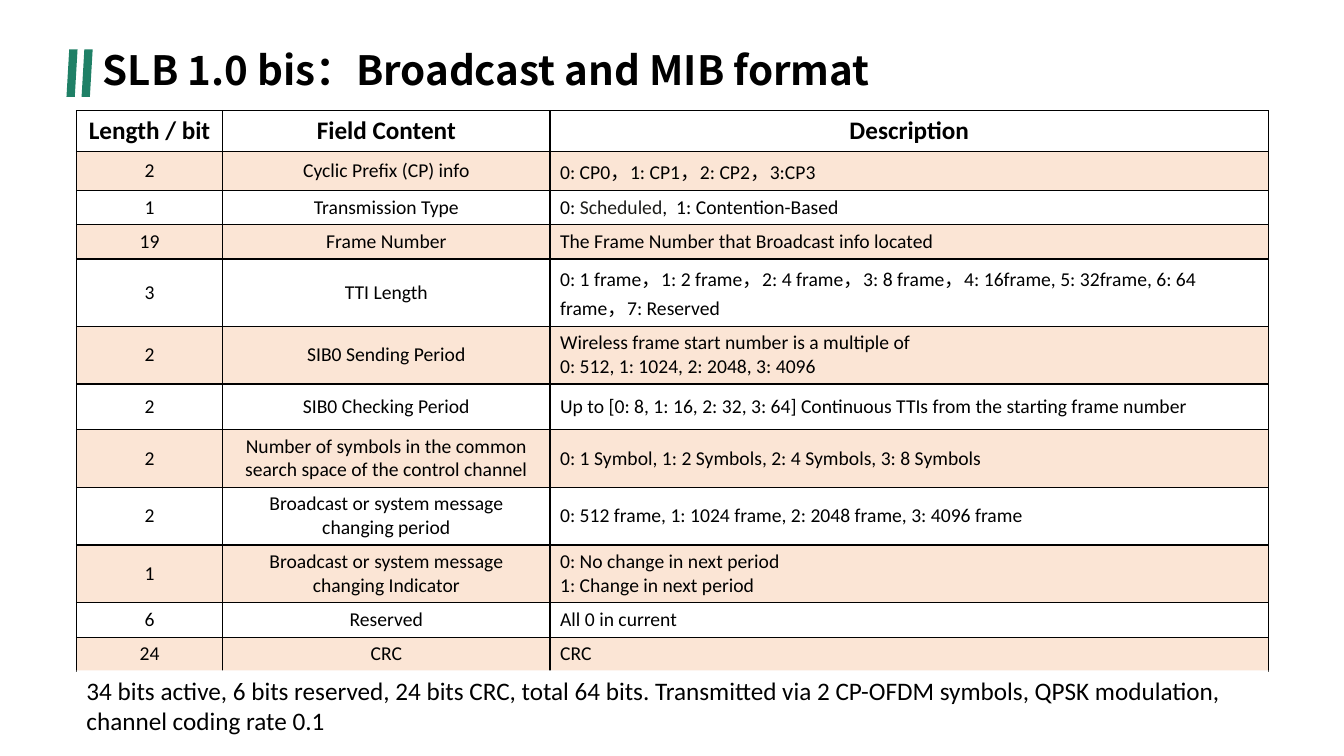
"""Builds the slide on the SLB 1.0 bis broadcast and MIB format."""
from dataclasses import dataclass
from itertools import product

from lxml import etree
from pptx import Presentation
from pptx import util as u
from pptx.dml import color
from pptx.enum import shapes, text
from pptx.oxml import ns

COLUMNS, ROWS = 1334, 750
UNIT = u.Inches(0.01)
BLACK, WHITE, GREEN, ORANGE, INK = "000000", "FFFFFF", "1F8066", "ED7D31", "1D1D1A"
LATIN, CJK = "Calibri", "Noto Sans CJK SC"
LEFT, CENTER = text.PP_ALIGN.LEFT, text.PP_ALIGN.CENTER
TOP, MIDDLE = text.MSO_ANCHOR.TOP, text.MSO_ANCHOR.MIDDLE
TITLE_FONT = {"size": u.Pt(28.8), "bold": True, "name": CJK}
HEADER_FONT = {"size": u.Pt(18), "bold": True, "name": LATIN}
FIELD_FONT = {"size": u.Pt(14), "bold": False, "name": LATIN}
NOTE_FONT = {"size": u.Pt(18), "bold": False, "name": LATIN}


@dataclass(frozen=True)
class Area:
    """A rectangle in grid columns and rows."""
    column: int
    row: int
    columns: int
    rows: int

    def box(self) -> tuple[int, int, int, int]:
        """Return left, top, width and height as lengths."""
        return (self.column * UNIT, self.row * UNIT,
                self.columns * UNIT, self.rows * UNIT)


@dataclass(frozen=True)
class Field:
    """One row of the MIB table."""
    bits: str
    content: str
    description: str
    rows: int = 34
    accent: str = ""


HEADER = Field("Length / bit", "Field Content", "Description", 40)
FIELDS = [
    Field("2", "Cyclic Prefix (CP) info", "0: CP0，1: CP1，2: CP2，3:CP3"),
    Field("1", "Transmission Type", "0: Scheduled,  1: Contention-Based", accent="Scheduled"),
    Field("19", "Frame Number", "The Frame Number that Broadcast info located"),
    Field("3", "TTI Length", "0: 1 frame，1: 2 frame，2: 4 frame，3: 8 frame，"
          "4: 16frame, 5: 32frame, 6: 64 frame，7: Reserved", 57),
    Field("2", "SIB0 Sending Period", "Wireless frame start number is a multiple of\n"
          "0: 512, 1: 1024, 2: 2048, 3: 4096", 57),
    Field("2", "SIB0 Checking Period", "Up to [0: 8, 1: 16, 2: 32, 3: 64] "
          "Continuous TTIs from the starting frame number", 45),
    Field("2", "Number of symbols in the common search space of the control channel",
          "0: 1 Symbol, 1: 2 Symbols, 2: 4 Symbols, 3: 8 Symbols", 54),
    Field("2", "Broadcast or system message changing period",
          "0: 512 frame, 1: 1024 frame, 2: 2048 frame, 3: 4096 frame", 54),
    Field("1", "Broadcast or system message changing Indicator",
          "0: No change in next period\n1: Change in next period", 57),
    Field("6", "Reserved", "All 0 in current"),
    Field("24", "CRC", "CRC"),
]
FIELD_COLUMNS = (145, 325, 713)
NOTE = ("34 bits active, 6 bits reserved, 24 bits CRC, total 64 bits. Transmitted via "
        "2 CP-OFDM symbols, QPSK modulation, channel coding rate 0.1")


def apply(target, values: dict) -> None:
    """Set every format value on the target."""
    for name, value in values.items():
        setattr(target, name, value)


def paint(target, shade: str) -> None:
    """Give a font or a fill a hex colour."""
    if hasattr(target, "solid"):
        target.solid()
        target.fore_color.rgb = color.RGBColor.from_string(shade)
    else:
        target.color.rgb = color.RGBColor.from_string(shade)


def write(frame, words: str, font: dict, align=LEFT, accent: str = "") -> None:
    """Fill a text frame, one paragraph a line, with an optional inked accent."""
    for index, line in enumerate(words.split("\n")):
        paragraph = frame.paragraphs[0] if index == 0 else frame.add_paragraph()
        paragraph.alignment = align
        before, mark, after = line.partition(accent) if accent else (line, "", "")
        for part, shade in ((before, BLACK), (mark, INK), (after, BLACK)):
            if part:
                run = paragraph.add_run()
                run.text = part
                apply(run.font, font)
                paint(run.font, shade)
                east = etree.SubElement(run.font._element, ns.qn("a:ea"))
                east.set("typeface", CJK)


def outline(cell) -> None:
    """Draw thin black borders on all sides of a cell."""
    properties = cell._tc.get_or_add_tcPr()
    for side in ("lnL", "lnR", "lnT", "lnB"):
        border = etree.SubElement(properties, ns.qn(f"a:{side}"), w=str(u.Pt(1)))
        fill = etree.SubElement(border, ns.qn("a:solidFill"))
        etree.SubElement(fill, ns.qn("a:srgbClr"), val=BLACK)


def tint(cell) -> None:
    """Fill a cell with mostly transparent orange."""
    paint(cell.fill, ORANGE)
    shade = cell._tc.tcPr.find(f"{ns.qn('a:solidFill')}/{ns.qn('a:srgbClr')}")
    etree.SubElement(shade, ns.qn("a:alpha"), val="20000")


def add_block(slide, kind, area: Area, shade: str):
    """Add a flat shape without an outline."""
    block = slide.shapes.add_shape(kind, *area.box())
    block.shadow.inherit = False
    paint(block.fill, shade)
    block.line.fill.background()
    return block


def add_title(slide) -> None:
    """Place and fill the slide title."""
    title = slide.shapes.title
    apply(title, dict(zip(("left", "top", "width", "height"), Area(92, 45, 1150, 54).box())))
    apply(title.text_frame, {"vertical_anchor": MIDDLE, "word_wrap": True,
                             "auto_size": text.MSO_AUTO_SIZE.NONE})
    write(title.text_frame, "SLB 1.0 bis：Broadcast and MIB format", TITLE_FONT)
    title.text_frame.paragraphs[0].line_spacing = 0.9


def add_fields(slide) -> None:
    """Add the table of MIB fields."""
    lines = [HEADER, *FIELDS]
    area = Area(76, 110, sum(FIELD_COLUMNS), sum(line.rows for line in lines))
    fields = slide.shapes.add_table(len(lines), len(FIELD_COLUMNS), *area.box()).table
    apply(fields, {"first_row": False, "horz_banding": False})
    for column, columns in zip(fields.columns, FIELD_COLUMNS):
        column.width = columns * UNIT
    for row, line in zip(fields.rows, lines):
        row.height = line.rows * UNIT
    for (index, line), column in product(enumerate(lines), range(len(FIELD_COLUMNS))):
        cell = fields.cell(index, column)
        heading = line is HEADER
        words = (line.bits, line.content, line.description)[column]
        cell.vertical_anchor = TOP if heading else MIDDLE
        write(cell.text_frame, words, HEADER_FONT if heading else FIELD_FONT,
              CENTER if heading or column < 2 else LEFT,
              line.accent if column == 2 else "")
        outline(cell)
        if index % 2:
            tint(cell)
        else:
            cell.fill.background()


def add_note(slide) -> None:
    """Add the summary under the table."""
    note = add_block(slide, shapes.MSO_SHAPE.RECTANGLE, Area(76, 665, 1183, 71), WHITE)
    apply(note.text_frame, {"vertical_anchor": TOP, "word_wrap": True,
                            "auto_size": text.MSO_AUTO_SIZE.SHAPE_TO_FIT_TEXT})
    write(note.text_frame, NOTE, NOTE_FONT)


def main() -> None:
    """Build and save the slide."""
    deck = Presentation()
    apply(deck, {"slide_width": COLUMNS * UNIT, "slide_height": ROWS * UNIT})
    slide = deck.slides.add_slide(deck.slide_layouts[5])
    for slash in range(2):
        add_block(slide, shapes.MSO_SHAPE.PARALLELOGRAM, Area(66 + 15 * slash, 49, 11, 47), GREEN)
    add_fields(slide)
    add_note(slide)
    add_title(slide)
    deck.save("out.pptx")


if __name__ == "__main__":
    main()
